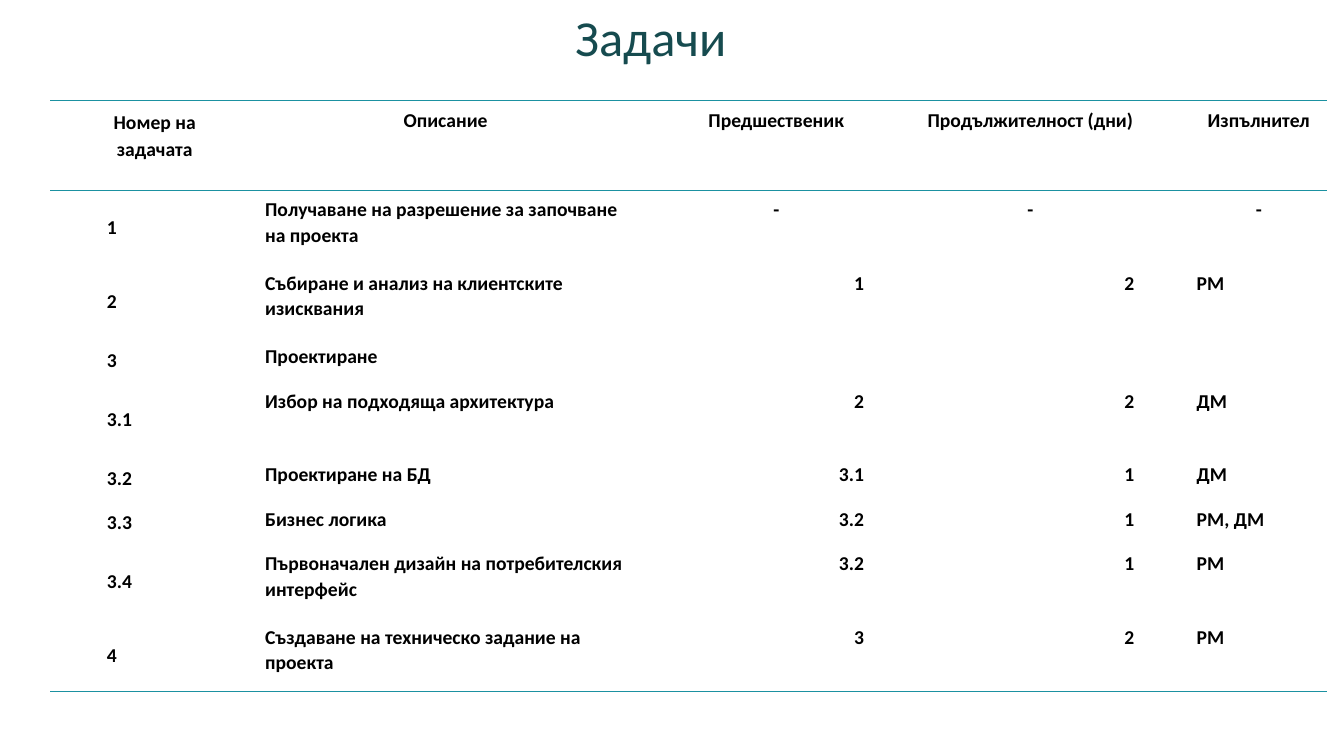
from pptx import Presentation
from pptx import util as u
from pptx.dml.color import RGBColor
from pptx.enum import text
from pptx.oxml import parse_xml
from pptx.oxml.ns import nsdecls, qn

TITLE = "Задачи"
HEAD = ("Номер на задачата", "Описание", "Предшественик",
        "Продължителност (дни)", "Изпълнител")
TASKS = [
    ("1", "Получаване на разрешение за започване на проекта", "-", "-", "-"),
    ("2", "Събиране и анализ на клиентските изисквания", "1", "2", "РМ"),
    ("3", "Проектиране", "", "", ""),
    ("3.1", "Избор на подходяща архитектура", "2", "2", "ДМ"),
    ("3.2", "Проектиране на БД", "3.1", "1", "ДМ"),
    ("3.3", "Бизнес логика", "3.2", "1", "РМ, ДМ"),
    ("3.4", "Първоначален дизайн на потребителския интерфейс", "3.2", "1", "РМ"),
    ("4", "Създаване на техническо задание на проекта", "3", "2", "РМ"),
]
COLS = (1.57, 4.2, 2.36, 2.68, 1.85)
TALL, LOW = 0.73, 0.44
ROWS = (0.89, TALL, TALL, LOW, TALL, LOW, LOW, TALL, TALL)
WIDE, HIGH = 13.33, 7.5
INK, TEAL, RULE = "000000", "164B4F", "1B91A1"
NO_STYLE = "{2D5ABB26-0587-4C30-8999-92F81FD0307C}"
LEFT, MID, RIGHT = (text.PP_ALIGN.LEFT, text.PP_ALIGN.CENTER, text.PP_ALIGN.RIGHT)


def set_font(para, size, color, bold=False):
    font = para.font
    font.name, font.size, font.bold = "Calibri", u.Pt(size), bold
    font.color.rgb = RGBColor.from_string(color)


def add_rule(cell, side):
    """Draw a thin border on the T(op) or B(ottom) of a cell."""
    cell._tc.get_or_add_tcPr().append(parse_xml(
        f'<a:ln{side} {nsdecls("a")} w="12700"><a:solidFill>'
        f'<a:srgbClr val="{RULE}"/></a:solidFill></a:ln{side}>'))


def align(row, col, words):
    if row == 0 or words == "-":
        return MID
    return RIGHT if col in (2, 3) else LEFT


def fill_cell(cell, row, col, words):
    cell.margin_left = cell.margin_right = u.Inches(0.06)
    cell.margin_top = cell.margin_bottom = u.Inches(0.06)
    if row and col == 0:
        cell.vertical_anchor = text.MSO_ANCHOR.MIDDLE
    if row == 0:
        add_rule(cell, "T")
    if row in (0, len(TASKS)):
        add_rule(cell, "B")
    cell.fill.background()
    cell.text = words
    para = cell.text_frame.paragraphs[0]
    para.level = 1
    para.alignment = align(row, col, words)
    para.line_spacing = 1.07
    if row == col == 0:
        para.line_spacing, para.space_after = 1.15, u.Pt(10)
    props = para._p.get_or_add_pPr()
    props.set("marL", str(u.Inches(0.5)))
    props.set("indent", "0")
    set_font(para, 14, INK, True)


deck = Presentation()
deck.slide_width, deck.slide_height = u.Inches(WIDE), u.Inches(HIGH)
slide = deck.slides.add_slide(deck.slide_layouts[6])

box = slide.shapes.add_textbox(u.Inches(2.58), u.Inches(0.08),
                               u.Inches(7.75), u.Inches(0.65))
frame = box.text_frame
frame.word_wrap = True
frame.auto_size = text.MSO_AUTO_SIZE.SHAPE_TO_FIT_TEXT
title = frame.paragraphs[0]
title.text, title.alignment, title.line_spacing = TITLE, MID, 0.9
set_font(title, 36, TEAL)

table = slide.shapes.add_table(
    len(ROWS), len(COLS), u.Inches(0.5), u.Inches(1),
    u.Inches(sum(COLS)), u.Inches(sum(ROWS))).table
table.first_row = table.horz_banding = False
table._tbl.tblPr.find(qn("a:tableStyleId")).text = NO_STYLE
for col, size in zip(table.columns, COLS):
    col.width = u.Inches(size)
for row, size in zip(table.rows, ROWS):
    row.height = u.Inches(size)
for r, line in enumerate([HEAD] + TASKS):
    for c, words in enumerate(line):
        fill_cell(table.cell(r, c), r, c, words)

deck.save("out.pptx")
